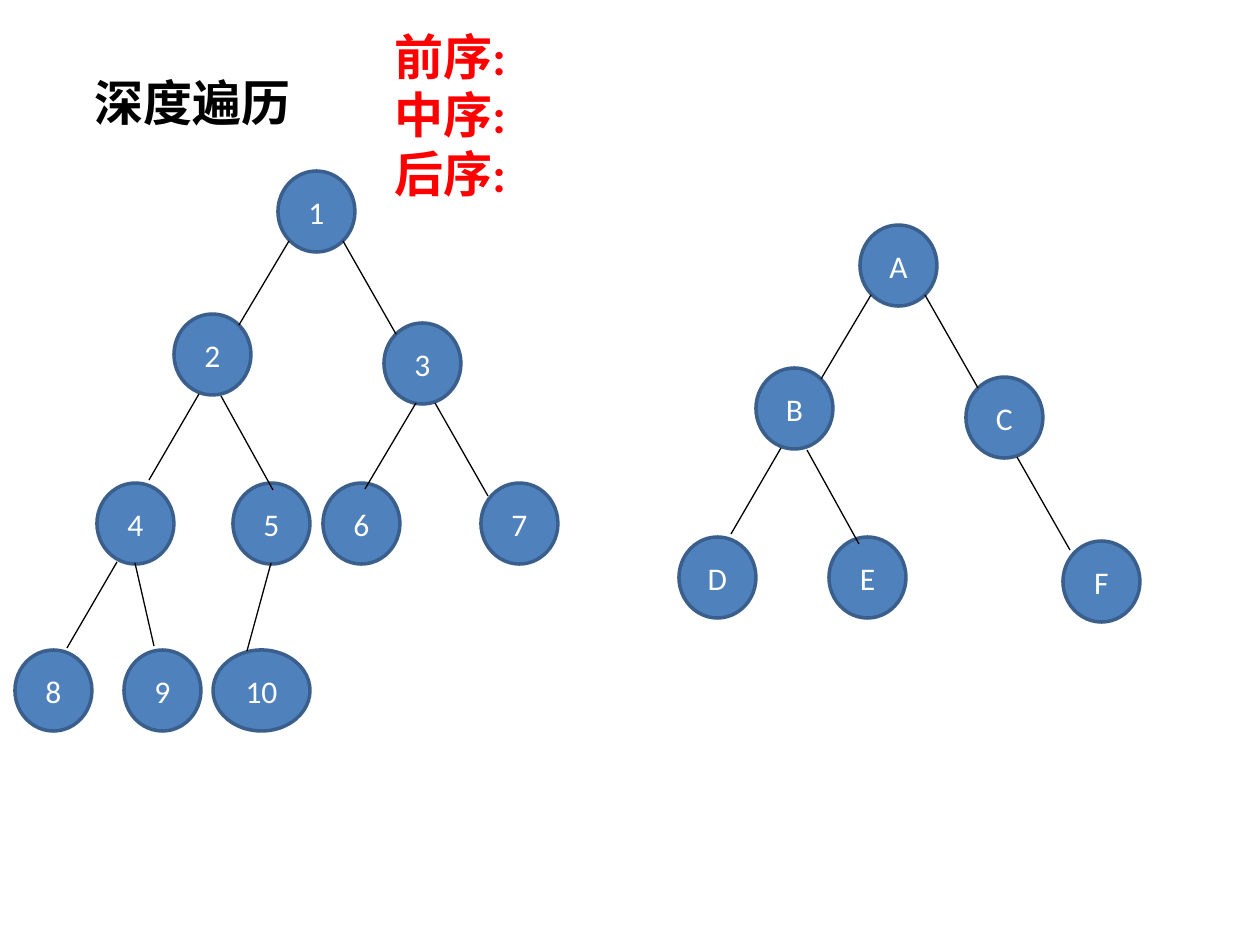
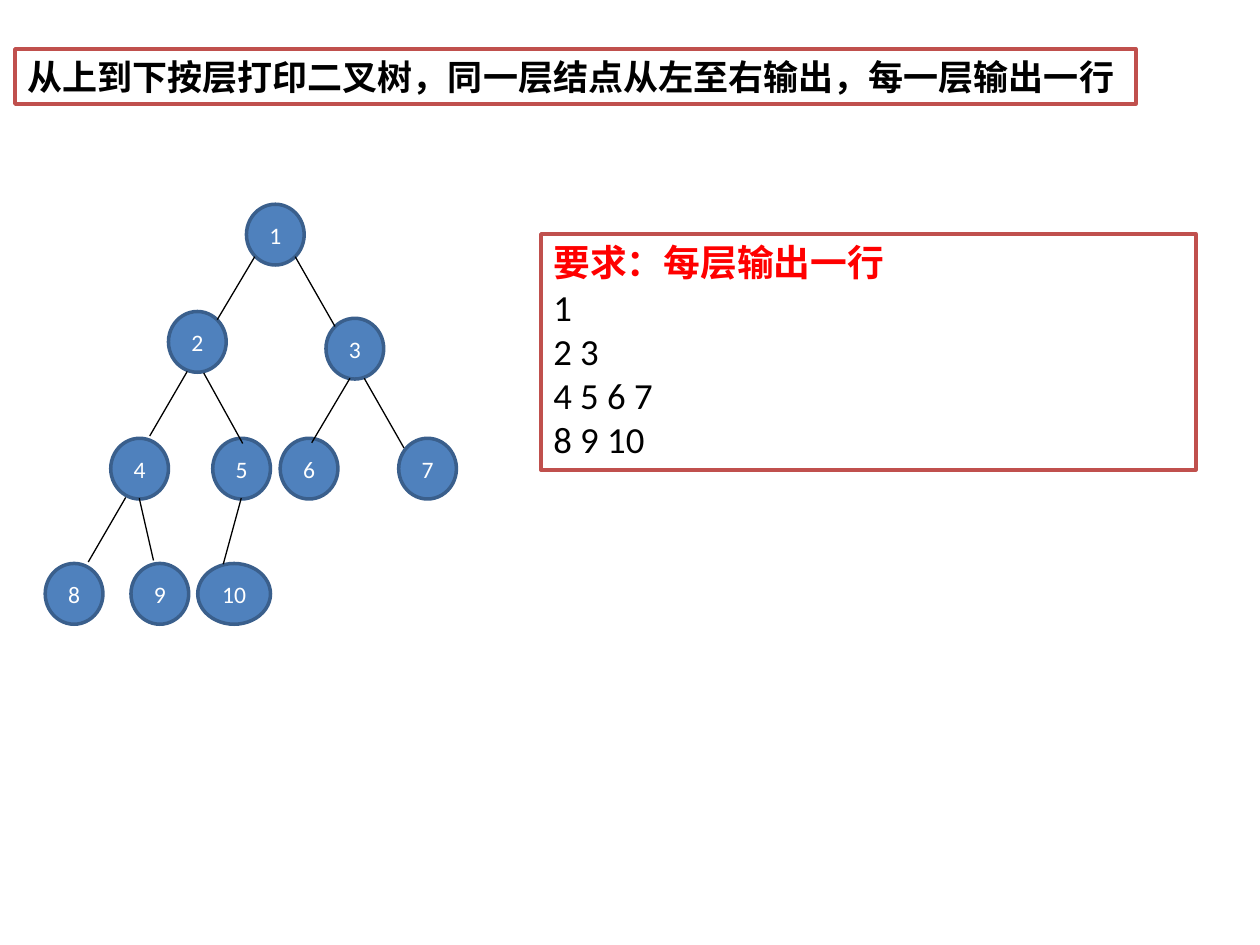
"""Build two slides on binary tree traversal."""
from lxml import etree
from pptx import Presentation
from pptx.dml.color import RGBColor
from pptx.enum.shapes import MSO_CONNECTOR, MSO_SHAPE
from pptx.enum.text import MSO_ANCHOR, MSO_AUTO_SIZE, PP_ALIGN
from pptx.oxml.ns import qn
from pptx.util import Emu, Pt

OVAL, RECT = MSO_SHAPE.OVAL, MSO_SHAPE.RECTANGLE
LINE = MSO_CONNECTOR.STRAIGHT
TOP, MIDDLE = MSO_ANCHOR.TOP, MSO_ANCHOR.MIDDLE
GROW, FIXED = MSO_AUTO_SIZE.SHAPE_TO_FIT_TEXT, MSO_AUTO_SIZE.NONE
LEFT, CENTER = PP_ALIGN.LEFT, PP_ALIGN.CENTER

UNIT = 914400 / 126
THEME = {
    "node": "4F81BD", "rim": "3A5F8C", "edge": "000000",
    "paper": "FFFFFF", "frame": "C0504D",
    "rim_pt": 2, "edge_pt": 0.75, "label_pt": 18,
    "title": {"name": "Calibri", "size": 28, "bold": True, "color": "000000"},
    "order": {"name": "Calibri", "size": 28, "bold": True, "color": "FF0000"},
    "task": {"name": "Noto Sans CJK SC", "size": 20, "bold": True, "color": "000000"},
    "goal": {"name": "Calibri", "size": 21, "bold": True, "color": "FF0000"},
    "row": {"name": "Calibri", "size": 21, "bold": False, "color": "000000"},
}
NOTE = {"word_wrap": True, "auto_size": GROW, "vertical_anchor": TOP}
SINGLE = NOTE | {"word_wrap": False}
LABEL = NOTE | {"auto_size": FIXED, "vertical_anchor": MIDDLE}


def px(*vals):
    return [Emu(round(val * UNIT)) for val in vals]


def write(shape, lines, setup, align=LEFT):
    frame = shape.text_frame
    for key, val in setup.items():
        setattr(frame, key, val)
    for num, (text, style) in enumerate(lines):
        para = frame.add_paragraph() if num else frame.paragraphs[0]
        para.alignment = align
        run = para.add_run()
        run.text = text
        for key, val in style.items():
            if key == "color":
                run.font.color.rgb = RGBColor.from_string(val)
            else:
                setattr(run.font, key, Pt(val) if key == "size" else val)


deck = Presentation()
deck.slide_width, deck.slide_height = px(1260, 945)
blank = deck.slide_layouts[6]
first, second = [deck.slides.add_slide(blank) for _ in range(2)]

HIGH, WIDE = 81, {10: 97}
NODES = {
    1: (278, 171), 2: (174, 314), 3: (384, 323), 4: (97, 483), 5: (233, 483),
    6: (323, 483), 7: (481, 483), 8: (15, 650), 9: (124, 650), 10: (213, 650),
}
EDGES = {
    2: (239, 325, 289, 241), 3: (396, 334, 343, 241), 4: (149, 480, 199, 394),
    5: (273, 490, 221, 396), 6: (365, 489, 416, 403), 7: (488, 496, 435, 403),
    8: (67, 648, 117, 562), 9: (154, 646, 135, 563), 10: (247, 651, 271, 563),
}
digits = {key: str(key) for key in NODES}
letters = dict(zip((1, 2, 3, 4, 5, 7), "ABCDEF"))
TREES = [
    {"slide": first, "names": digits, "zoom": 1, "at": (0, 0), "nudge": {}, "slip": {}},
    {"slide": first, "names": letters, "zoom": 1, "at": (582, 54),
     "nudge": {5: (14, 0), 7: (0, 4)}, "slip": {5: 4}},
    {"slide": second, "names": digits, "zoom": 0.75, "at": (38, 76),
     "nudge": {8: (-4, 0)}, "slip": {}},
]

for tree in TREES:
    shapes, zoom = tree["slide"].shapes, tree["zoom"]
    left, top = tree["at"]
    style = {"name": "Calibri", "size": THEME["label_pt"] * zoom, "color": THEME["paper"]}
    for key, name in tree["names"].items():
        x, y = NODES[key]
        dx, dy = tree["nudge"].get(key, (0, 0))
        node = shapes.add_shape(OVAL, *px(
            left + x * zoom + dx, top + y * zoom + dy,
            WIDE.get(key, 77) * zoom, HIGH * zoom))
        node.shadow.inherit = False
        node.fill.solid()
        node.fill.fore_color.rgb = RGBColor.from_string(THEME["node"])
        node.line.color.rgb = RGBColor.from_string(THEME["rim"])
        node.line.width = Pt(THEME["rim_pt"])
        write(node, [(name, style)], LABEL, CENTER)
    for key, (x1, y1, x2, y2) in EDGES.items():
        if key in tree["names"]:
            slip = left + tree["slip"].get(key, 0)
            edge = shapes.add_connector(LINE, *px(
                slip + x1 * zoom, top + y1 * zoom, slip + x2 * zoom, top + y2 * zoom))
            edge.line.color.rgb = RGBColor.from_string(THEME["edge"])
            edge.line.width = Pt(THEME["edge_pt"])
            etree.SubElement(edge._element.spPr, qn("a:effectLst"))

NOTES = [
    ((82, 66, 223, 72), [("深度遍历", THEME["title"])], SINGLE),
    ((382, 20, 873, 190),
     [(text, THEME["order"]) for text in ("前序:", "中序:", "后序:")], NOTE),
]
for box, lines, setup in NOTES:
    write(first.shapes.add_textbox(*px(*box)), lines, setup)

rows = ("1", "2 3", "4 5 6 7", "8 9 10")
PANELS = [
    ((15, 49, 1121, 55),
     [("从上到下按层打印二叉树，同一层结点从左至右输出，每一层输出一行", THEME["task"])], SINGLE),
    ((541, 234, 655, 236),
     [("要求：每层输出一行", THEME["goal"])] + [(row, THEME["row"]) for row in rows], NOTE),
]
for box, lines, setup in PANELS:
    panel = second.shapes.add_shape(RECT, *px(*box))
    panel.shadow.inherit = False
    panel.fill.solid()
    panel.fill.fore_color.rgb = RGBColor.from_string(THEME["paper"])
    panel.line.color.rgb = RGBColor.from_string(THEME["frame"])
    panel.line.width = Pt(THEME["rim_pt"])
    write(panel, lines, setup)

deck.save("out.pptx")
